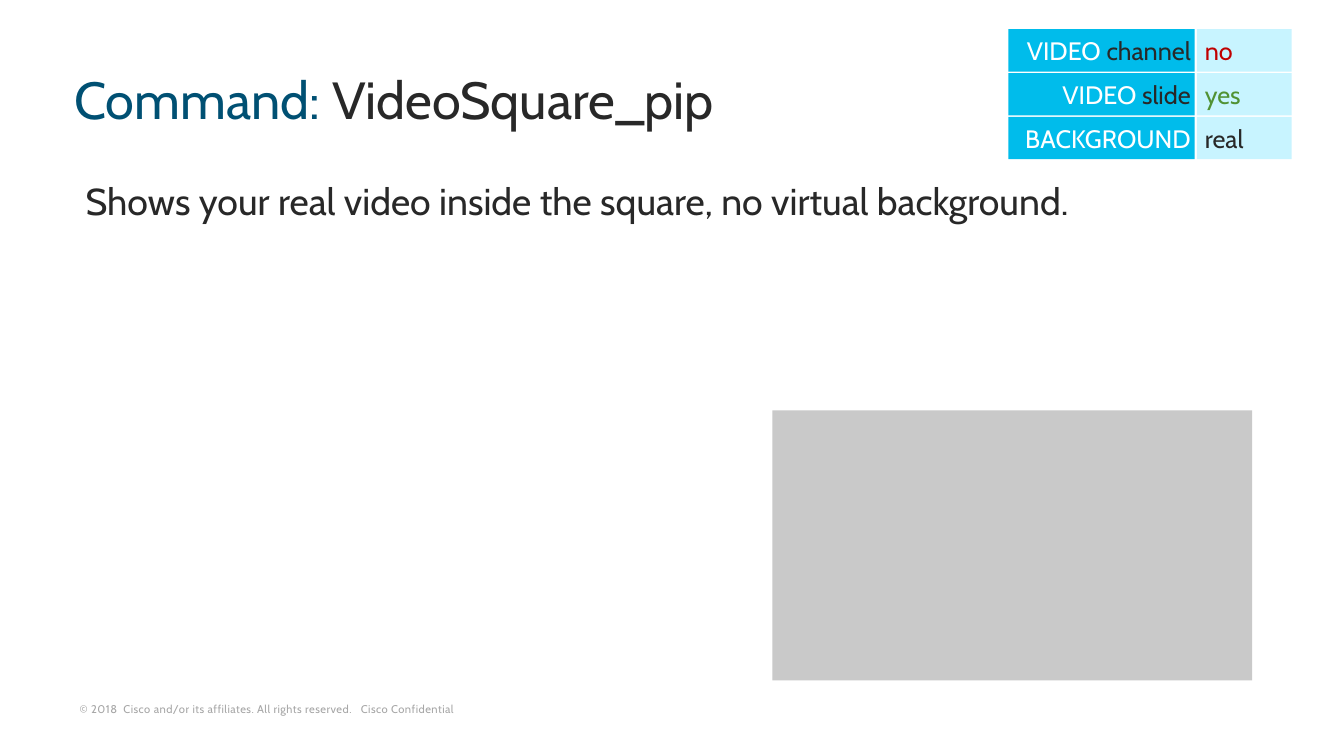
from pptx import Presentation
from pptx.dml.color import RGBColor
from pptx.enum.shapes import MSO_SHAPE
from pptx.enum.text import MSO_ANCHOR, PP_ALIGN
from pptx.util import Inches, Pt

WHITE = RGBColor(0xFF, 0xFF, 0xFF)
INK = RGBColor(0x28, 0x28, 0x28)
NAVY = RGBColor(0x00, 0x50, 0x73)
CYAN = RGBColor(0x00, 0xBC, 0xEB)
PALE_CYAN = RGBColor(0xC8, 0xF4, 0xFF)
RED = RGBColor(0xC0, 0x00, 0x00)
GREEN = RGBColor(0x51, 0x92, 0x34)
VIDEO_GRAY = RGBColor(0xC9, 0xC9, 0xC9)
FOOTER_GRAY = RGBColor(0xA6, 0xA6, 0xA6)
FONT = "Cabin"

TITLE = [("Command: ", NAVY), ("VideoSquare_pip", INK)]
BODY = [("Shows your real video inside the square, no virtual background.", INK)]
FOOTER = [("© 2018  Cisco and/or its affiliates. All rights reserved.   Cisco Confidential", FOOTER_GRAY)]
SETTINGS = [
    ([("VIDEO ", WHITE), ("channel", INK)], [("no", RED)]),
    ([("VIDEO ", WHITE), ("slide", INK)], [("yes", GREEN)]),
    ([("BACKGROUND", WHITE)], [("real", INK)]),
]

GRID_TOP, ROW_PITCH, ROW_HEIGHT = 0.29, 0.435, 0.42
LABEL_LEFT, LABEL_WIDTH = 10, 1.85
VALUE_LEFT, VALUE_WIDTH = 11.87, 0.94

deck = Presentation()
deck.slide_width, deck.slide_height = Inches(13.33), Inches(7.5)
page = deck.slides.add_slide(deck.slide_layouts[6])


def add_rectangle(place, color):
    box = page.shapes.add_shape(MSO_SHAPE.RECTANGLE, *map(Inches, place))
    box.shadow.inherit = False
    box.fill.solid()
    box.fill.fore_color.rgb = color
    box.line.fill.background()
    return box


def add_text_box(place):
    return page.shapes.add_textbox(*map(Inches, place))


def write(box, pieces, size, insets, anchor=MSO_ANCHOR.MIDDLE,
          align=PP_ALIGN.LEFT, line_spacing=1.0, indent=0, tracking=0):
    frame = box.text_frame
    frame.word_wrap = True
    frame.vertical_anchor = anchor
    (frame.margin_left, frame.margin_top,
     frame.margin_right, frame.margin_bottom) = map(Inches, insets)
    para = frame.paragraphs[0]
    para.alignment = align
    para.line_spacing = line_spacing
    if indent:
        para._p.get_or_add_pPr().set("marL", str(Inches(indent)))
    for text, color in pieces:
        span = para.add_run()
        span.text = text
        span.font.name = FONT
        span.font.size = Pt(size)
        span.font.color.rgb = color
        if tracking:
            span._r.get_or_add_rPr().set("spc", str(round(tracking * 100)))


write(add_text_box((0.7, 6.91, 4.96, 0.23)), FOOTER, 8, (0.09, 0.04, 0.09, 0.04),
      anchor=MSO_ANCHOR.BOTTOM, tracking=0.3)
write(add_text_box((0.67, 1.75, 12.07, 4.94)), BODY, 26.7, (0.1, 0.05, 0.1, 0.05),
      anchor=MSO_ANCHOR.TOP, line_spacing=0.95, indent=0.08)
write(add_text_box((0.64, 0.5, 12.17, 1.07)), TITLE, 37.3, (0.1, 0.05, 0.1, 0.05),
      line_spacing=0.8)

for row, (label, value) in enumerate(SETTINGS):
    top = GRID_TOP + row * ROW_PITCH
    write(add_rectangle((VALUE_LEFT, top, VALUE_WIDTH, ROW_HEIGHT), PALE_CYAN),
          value, 18, (0.08, 0, 0, 0))
    write(add_rectangle((LABEL_LEFT, top, LABEL_WIDTH, ROW_HEIGHT), CYAN),
          label, 18, (0, 0, 0.04, 0), align=PP_ALIGN.RIGHT)

add_rectangle((7.66, 4.07, 4.76, 2.68), VIDEO_GRAY)

deck.save("out.pptx")
